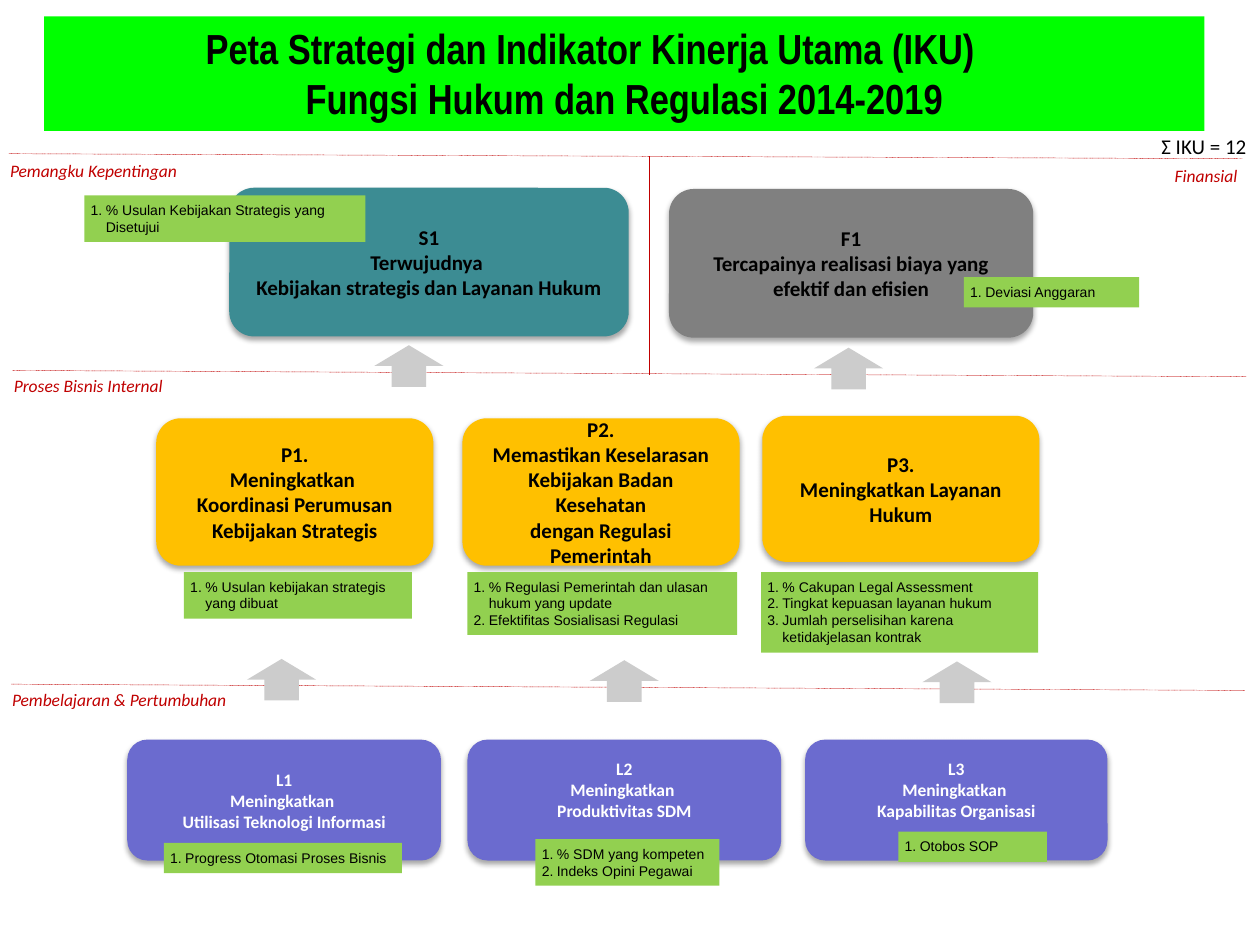
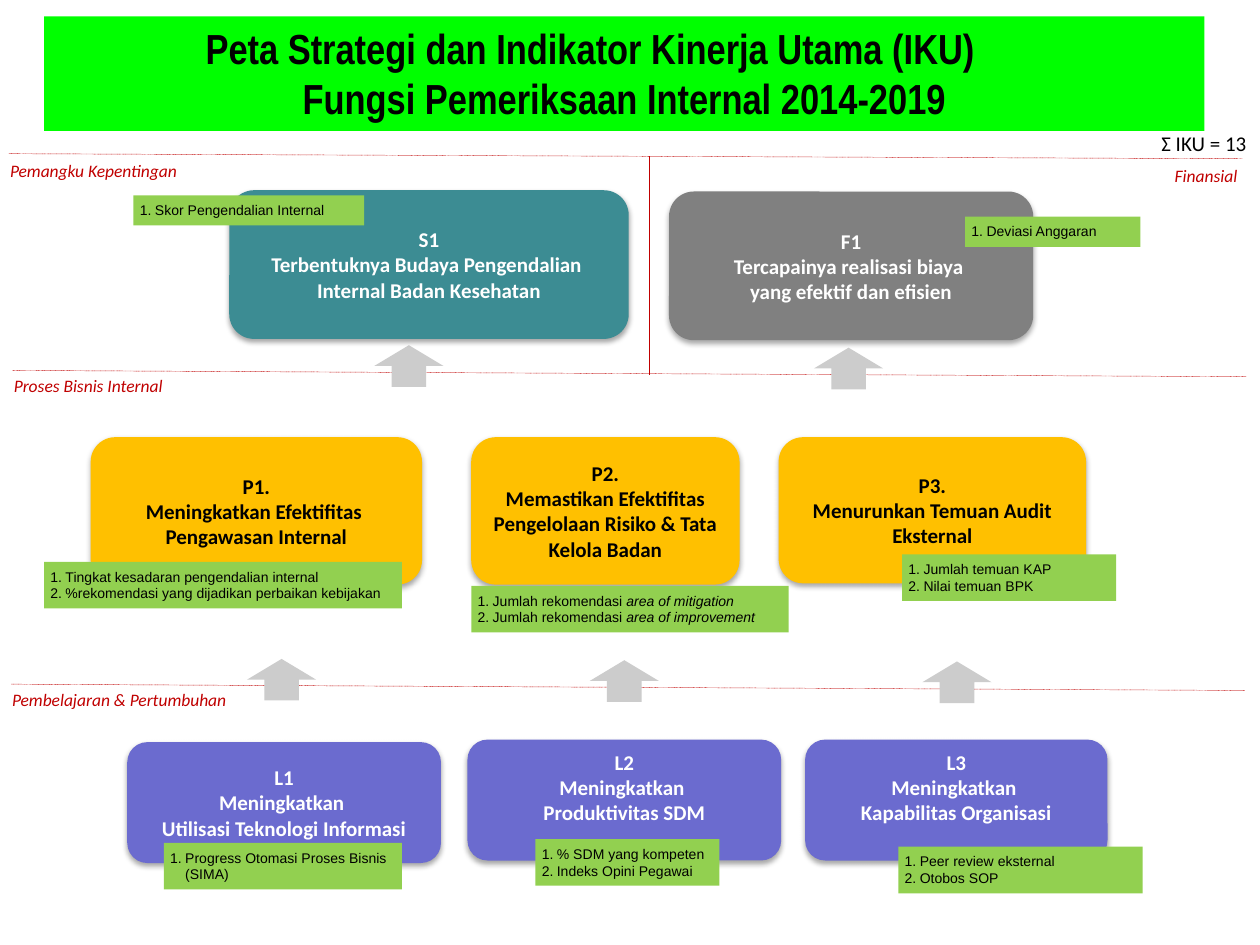
"""Build two strategy map slides with their performance indicators."""
from dataclasses import dataclass

import pptx
import pptx.dml.color
import pptx.enum.dml
import pptx.enum.shapes
import pptx.enum.text
import pptx.oxml
import pptx.oxml.ns
import pptx.util
from lxml import etree

EMU_PER_PX = 9144
COLORS = {
    "title": "00FF00", "stakeholder": "3C8C93", "financial": "808080",
    "process": "FFC000", "learning": "6B6BCF", "indicator": "92D050",
    "arrow": "CCCCCC", "accent": "C00000", "black": "000000", "white": "FFFFFF",
}
SHAPES = pptx.enum.shapes.MSO_SHAPE
ALIGN = pptx.enum.text.PP_ALIGN
ANCHOR = pptx.enum.text.MSO_ANCHOR
SIDE_INSET, TOP_INSET = 10, 5
TITLE_SHIFT = 54
INDICATOR_INDENT = 12
ARROW_SIZE = (55, 33)
ARROWS = [(297, 274), (646, 276), (196, 523), (468, 524), (732, 525)]
SHADOW = (
    '<a:outerShdw {} blurRad="40000" dist="23000" dir="5400000" rotWithShape="0">'
    '<a:srgbClr val="000000"><a:alpha val="35000"/></a:srgbClr></a:outerShdw>'
).format(pptx.oxml.ns.nsdecls("a"))


@dataclass(frozen=True)
class Box:
    """A rectangle in px."""
    left: int
    top: int
    width: int
    height: int


@dataclass(frozen=True)
class TextStyle:
    """The look of all text in one box."""
    font: str
    size: int
    color: str
    bold: bool = False
    italic: bool = False
    align: ALIGN = ALIGN.LEFT


@dataclass(frozen=True)
class Label:
    """A caption of one perspective."""
    text: str
    box: Box
    align: ALIGN = ALIGN.LEFT


@dataclass(frozen=True)
class Divider:
    """A dotted line between perspectives."""
    start: tuple[int, int]
    end: tuple[int, int]


@dataclass(frozen=True)
class Goal:
    """A rounded card with one strategic goal."""
    kind: str
    box: Box
    lines: list[str]
    color: str = "black"
    size: int = 12
    lift: int = 0


@dataclass(frozen=True)
class Indicators:
    """A numbered list of indicators, with italics between asterisks."""
    box: Box
    items: list[str]


@dataclass(frozen=True)
class StrategyMap:
    """The content of one slide."""
    unit: str
    total: int
    total_top: int
    goals: list[Goal]
    indicators: list[Indicators]


LABELS = [
    Label("Pemangku Kepentingan", Box(8, 127, 167, 17)),
    Label("Finansial", Box(916, 131, 66, 17), ALIGN.RIGHT),
    Label("Proses Bisnis Internal", Box(11, 298, 167, 17)),
    Label("Pembelajaran & Pertumbuhan", Box(4, 547, 181, 17), ALIGN.CENTER),
]
DIVIDERS = [
    Divider((7, 122), (986, 126)),
    Divider((10, 294), (989, 299)),
    Divider((9, 543), (988, 548)),
    Divider((515, 124), (515, 297)),
]
LEARNING_GOALS = [
    (Box(101, 587, 249, 96), ["L1", "Meningkatkan ", "Utilisasi Teknologi Informasi"]),
    (Box(371, 587, 249, 96), ["L2", "Meningkatkan ", "Produktivitas SDM"]),
    (Box(639, 587, 240, 96), ["L3", "Meningkatkan ", "Kapabilitas Organisasi"]),
]
STAFF_INDICATORS = Indicators(
    Box(425, 666, 146, 37), ["% SDM yang kompeten", "Indeks Opini Pegawai"])


def learning_goals(size: int, lift: int, first_drop: int = 0) -> list[Goal]:
    """Return the learning cards; text of all but the first is lifted."""
    goals = []
    for index, (box, lines) in enumerate(LEARNING_GOALS):
        drop = 0 if index else first_drop
        placed = Box(box.left, box.top + drop, box.width, box.height)
        goals.append(Goal("learning", placed, lines, "white", size, lift if index else 0))
    return goals


MAPS = [
    StrategyMap(
        "Fungsi Hukum dan Regulasi", 12, 101,
        [
            Goal("stakeholder", Box(182, 149, 317, 118),
                 ["S1", "Terwujudnya ", "Kebijakan strategis dan Layanan Hukum"]),
            Goal("financial", Box(531, 150, 289, 118),
                 ["F1", "Tercapainya realisasi biaya yang efektif dan efisien"]),
            Goal("process", Box(124, 332, 220, 117),
                 ["P1.", "Meningkatkan ", "Koordinasi Perumusan Kebijakan Strategis"]),
            Goal("process", Box(367, 332, 220, 117),
                 ["P2.", "Memastikan Keselarasan Kebijakan Badan Kesehatan",
                  "dengan Regulasi Pemerintah"]),
            Goal("process", Box(605, 330, 220, 116), ["P3.", "Meningkatkan Layanan Hukum"]),
            *learning_goals(size=10, lift=17),
        ],
        [
            Indicators(Box(67, 155, 223, 37), ["% Usulan Kebijakan Strategis yang Disetujui"]),
            Indicators(Box(765, 220, 139, 24), ["Deviasi Anggaran"]),
            Indicators(Box(146, 454, 181, 37), ["% Usulan kebijakan strategis yang dibuat"]),
            Indicators(Box(371, 454, 214, 50),
                       ["% Regulasi Pemerintah dan ulasan hukum yang update",
                        "Efektifitas Sosialisasi Regulasi"]),
            Indicators(Box(604, 454, 220, 64),
                       ["% Cakupan Legal Assessment", "Tingkat kepuasan layanan hukum",
                        "Jumlah perselisihan karena ketidakjelasan kontrak"]),
            Indicators(Box(130, 669, 189, 24), ["Progress Otomasi Proses Bisnis"]),
            STAFF_INDICATORS,
            Indicators(Box(713, 660, 118, 24), ["Otobos SOP"]),
        ],
    ),
    StrategyMap(
        "Fungsi Pemeriksaan Internal", 13, 99,
        [
            Goal("stakeholder", Box(182, 151, 317, 118),
                 ["S1", "Terbentuknya Budaya Pengendalian ", "Internal Badan Kesehatan"],
                 "white"),
            Goal("financial", Box(531, 152, 289, 118),
                 ["F1", "Tercapainya realisasi biaya ", "yang efektif dan efisien"], "white"),
            Goal("process", Box(72, 347, 263, 117),
                 ["P1.", "Meningkatkan Efektifitas ", "Pengawasan Internal"]),
            Goal("process", Box(374, 347, 213, 117),
                 ["P2.", "Memastikan Efektifitas Pengelolaan Risiko & Tata Kelola Badan"]),
            Goal("process", Box(618, 347, 244, 116),
                 ["P3.", "Menurunkan Temuan Audit Eksternal"]),
            *learning_goals(size=12, lift=20, first_drop=2),
        ],
        [
            Indicators(Box(106, 155, 183, 24), ["Skor Pengendalian Internal"]),
            Indicators(Box(766, 172, 139, 24), ["Deviasi Anggaran"]),
            Indicators(Box(35, 446, 284, 37),
                       ["Tingkat kesadaran pengendalian internal",
                        "%rekomendasi yang dijadikan perbaikan kebijakan"]),
            Indicators(Box(374, 465, 252, 37),
                       ["Jumlah rekomendasi *area of mitigation*",
                        "Jumlah rekomendasi* area of improvement*"]),
            Indicators(Box(716, 440, 170, 37), ["Jumlah temuan KAP", "Nilai temuan BPK"]),
            Indicators(Box(130, 669, 189, 37), ["Progress Otomasi Proses Bisnis (SIMA)"]),
            STAFF_INDICATORS,
            Indicators(Box(713, 672, 194, 37), ["Peer review eksternal", "Otobos SOP"]),
        ],
    ),
]


def px(length: int) -> pptx.util.Emu:
    """Turn px into EMU."""
    return pptx.util.Emu(length * EMU_PER_PX)


def rgb(name: str) -> pptx.dml.color.RGBColor:
    """Look up a named colour."""
    return pptx.dml.color.RGBColor.from_string(COLORS[name])


def place(box: Box) -> list[pptx.util.Emu]:
    """Return left, top, width and height in EMU."""
    return [px(length) for length in (box.left, box.top, box.width, box.height)]


def add_block(slide, kind: SHAPES, box: Box, fill: str):
    """Add a flat filled shape without outline."""
    shape = slide.shapes.add_shape(kind, *place(box))
    shape.shadow.inherit = False
    shape.fill.solid()
    shape.fill.fore_color.rgb = rgb(fill)
    shape.line.fill.background()
    return shape


def write(shape, lines: list[str], style: TextStyle, insets: tuple[int, int, int, int],
          anchor: ANCHOR = ANCHOR.TOP) -> None:
    """Write styled paragraphs; insets are left, top, right and bottom."""
    frame = shape.text_frame
    frame.word_wrap = True
    frame.vertical_anchor = anchor
    (frame.margin_left, frame.margin_top,
     frame.margin_right, frame.margin_bottom) = map(px, insets)
    frame.text = "\n".join(line.split("*")[0] for line in lines)
    for paragraph, line in zip(frame.paragraphs, lines):
        paragraph.alignment = style.align
        for piece in filter(None, line.split("*")[1:]):
            paragraph.add_run().text = piece
        for index, run in enumerate(paragraph.runs):
            run.font.name = style.font
            run.font.size = pptx.util.Pt(style.size)
            run.font.bold = style.bold
            run.font.italic = style.italic or index % 2 == 1
            run.font.color.rgb = rgb(style.color)


def add_title(slide, unit: str) -> None:
    """Add the title band, its first line shifted to the left."""
    band = add_block(slide, SHAPES.RECTANGLE, Box(35, 13, 921, 91), "title")
    style = TextStyle("Arial Narrow", 24, "black", bold=True, align=ALIGN.CENTER)
    lines = ["Peta Strategi dan Indikator Kinerja Utama (IKU)", f"{unit} 2014-2019"]
    write(band, lines, style, (SIDE_INSET, TOP_INSET, SIDE_INSET + TITLE_SHIFT, TOP_INSET))
    properties = band.text_frame.paragraphs[1]._p.get_or_add_pPr()
    properties.set("marL", str(px(TITLE_SHIFT)))


def add_divider(slide, divider: Divider) -> None:
    """Add a dotted line."""
    line = slide.shapes.add_connector(
        pptx.enum.shapes.MSO_CONNECTOR.STRAIGHT,
        *map(px, divider.start), *map(px, divider.end))
    line.line.color.rgb = rgb("accent")
    line.line.width = pptx.util.Pt(0.25)
    line.line.dash_style = pptx.enum.dml.MSO_LINE.ROUND_DOT
    etree.SubElement(line.element.spPr, pptx.oxml.ns.qn("a:effectLst"))


def add_label(slide, label: Label) -> None:
    """Add the caption of a perspective."""
    style = TextStyle("Calibri", 10, "accent", italic=True, align=label.align)
    write(slide.shapes.add_textbox(*place(label.box)), [label.text], style, (0, 0, 0, 0))


def add_goal(slide, goal: Goal) -> None:
    """Add a goal card with a soft shadow."""
    card = add_block(slide, SHAPES.ROUNDED_RECTANGLE, goal.box, goal.kind)
    effects = card.element.spPr.find(pptx.oxml.ns.qn("a:effectLst"))
    effects.append(pptx.oxml.parse_xml(SHADOW))
    style = TextStyle("Calibri", goal.size, goal.color, bold=True, align=ALIGN.CENTER)
    insets = (SIDE_INSET, TOP_INSET, SIDE_INSET, TOP_INSET + goal.lift)
    write(card, goal.lines, style, insets, ANCHOR.MIDDLE)


def add_indicators(slide, indicators: Indicators) -> None:
    """Add a numbered list of indicators."""
    note = add_block(slide, SHAPES.RECTANGLE, indicators.box, "indicator")
    write(note, indicators.items, TextStyle("Arial", 8, "black"), (5, 5, 5, 5))
    for paragraph in note.text_frame.paragraphs:
        properties = paragraph._p.get_or_add_pPr()
        properties.set("marL", str(px(INDICATOR_INDENT)))
        properties.set("indent", str(px(-INDICATOR_INDENT)))
        number = etree.SubElement(properties, pptx.oxml.ns.qn("a:buAutoNum"))
        number.set("type", "arabicPeriod")


def add_map(presentation, strategy_map: StrategyMap) -> None:
    """Add one strategy map slide."""
    slide = presentation.slides.add_slide(presentation.slide_layouts[6])
    add_title(slide, strategy_map.unit)
    for divider in DIVIDERS:
        add_divider(slide, divider)
    for label in LABELS:
        add_label(slide, label)
    total = slide.shapes.add_textbox(*place(Box(907, strategy_map.total_top, 97, 30)))
    write(total, [f"Ʃ IKU = {strategy_map.total}"],
          TextStyle("Calibri", 12, "black", align=ALIGN.CENTER),
          (SIDE_INSET, TOP_INSET, SIDE_INSET, TOP_INSET))
    for left, top in ARROWS:
        add_block(slide, SHAPES.UP_ARROW, Box(left, top, *ARROW_SIZE), "arrow")
    for goal in strategy_map.goals:
        add_goal(slide, goal)
    for indicators in strategy_map.indicators:
        add_indicators(slide, indicators)


def main() -> None:
    """Build and save the presentation."""
    presentation = pptx.Presentation()
    presentation.slide_width, presentation.slide_height = px(1000), px(750)
    for strategy_map in MAPS:
        add_map(presentation, strategy_map)
    presentation.save("out.pptx")


if __name__ == "__main__":
    main()
